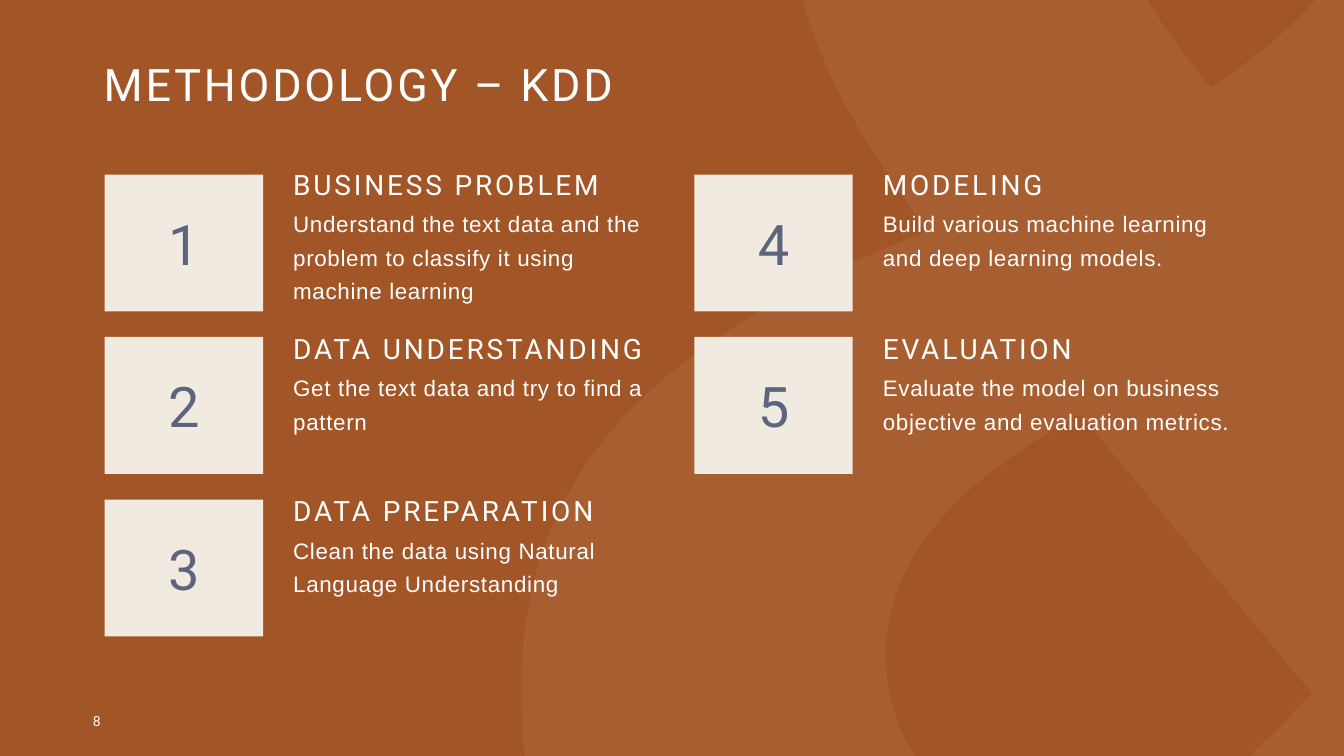
from dataclasses import dataclass

from lxml import etree
from pptx import Presentation
from pptx.dml.color import RGBColor
from pptx.enum.shapes import MSO_SHAPE
from pptx.enum.text import MSO_ANCHOR, MSO_AUTO_SIZE, PP_ALIGN
from pptx.oxml.ns import qn
from pptx.slide import Slide
from pptx.text.text import TextFrame
from pptx.util import Cm, Pt

RECTANGLE = MSO_SHAPE.RECTANGLE
TOP, MIDDLE = MSO_ANCHOR.TOP, MSO_ANCHOR.MIDDLE
LEFT, CENTER = PP_ALIGN.LEFT, PP_ALIGN.CENTER
NO_AUTOFIT = MSO_AUTO_SIZE.NONE
TITLE_ONLY = 5


@dataclass(frozen=True)
class Theme:
    background: str = "A25526"
    swirl: str = "D6BFA5"
    swirl_opacity: int = 10
    tile: str = "F1EAE1"
    number: str = "5D657E"
    text: str = "FFFFFF"
    display_font: str = "Roboto"
    body_font: str = "Arial"
    title_size: int = 32
    number_size: int = 40
    heading_size: int = 20
    body_size: int = 16
    page_size: int = 10


@dataclass(frozen=True)
class Step:
    number: int
    heading: str
    detail: str


@dataclass(frozen=True)
class Row:
    tile_top: float
    text_top: float


THEME = Theme()
SLIDE_W, SLIDE_H = 33.87, 19.05
COLUMN_LEFT, COLUMN_PITCH = 2.64, 14.86
TILE_W, TILE_H = 3.99, 3.45
TEXT_OFFSET, TEXT_W = 4.5, 9.35
HEADING_H, DETAIL_OFFSET, DETAIL_H = 1.02, 0.75, 2.8

ROWS = [Row(4.4, 4.26), Row(8.49, 8.39), Row(12.59, 12.48)]
STEPS = [
    Step(1, "BUSINESS PROBLEM",
         "Understand the text data and the problem to classify it using machine learning"),
    Step(2, "DATA UNDERSTANDING", "Get the text data and try to find a pattern"),
    Step(3, "DATA PREPARATION", "Clean the data using Natural Language Understanding"),
    Step(4, "MODELING", "Build various machine learning and deep learning models."),
    Step(5, "EVALUATION",
         "Evaluate the model on business objective and evaluation metrics."),
]

Point = tuple[float, float]
SWIRL_START: Point = (23.39, 5.82)
SWIRL: list[list[Point]] = [
    [(19.81, 7.21), (17.22, 8.84), (15.57, 10.67)],
    [(13.94, 12.5), (13.13, 14.76), (13.13, 17.42)],
    [(13.13, 17.98), (13.18, 18.54), (13.23, SLIDE_H)],
    [(23.06, SLIDE_H)],
    [(22.58, 18.31), (22.33, 17.45), (22.33, 16.46)],
    [(22.33, 15.34), (22.73, 14.27), (23.55, 13.28)],
    [(24.33, 12.29), (25.55, 11.35), (27.23, 10.44)],
    [(33.07, 17.48)],
    [(32.51, 18.08), (31.98, 18.62), (31.5, SLIDE_H)],
    [(SLIDE_W, SLIDE_H)],
    [(SLIDE_W, 0)],
    [(33.15, 0)],
    [(32.51, 0.74), (31.62, 1.47), (30.51, 2.21)],
    [(29.85, 1.4), (29.31, 0.66), (28.91, 0)],
    [(20.22, 0)],
    [(20.35, 0.38), (20.47, 0.79), (20.62, 1.17)],
    [(21.18, 2.59), (22.12, 4.14), SWIRL_START],
]


def rgb(color: str) -> RGBColor:
    return RGBColor.from_string(color)


def write(tf: TextFrame, text: str, *, size: int, font: str = THEME.display_font,
          color: str = THEME.text, spacing: float = 2, line: float = 1.0,
          align: PP_ALIGN = LEFT, anchor: MSO_ANCHOR = TOP) -> None:
    tf.word_wrap = True
    tf.auto_size = NO_AUTOFIT
    tf.vertical_anchor = anchor
    p = tf.paragraphs[0]
    p.alignment = align
    p.line_spacing = line
    r = p.add_run()
    r.text = text
    r.font.name = font
    r.font.size = Pt(size)
    r.font.color.rgb = rgb(color)
    r.font._element.set("spc", str(int(spacing * 100)))


def add_text_box(s: Slide, left: float, top: float, width: float, height: float) -> TextFrame:
    return s.shapes.add_textbox(Cm(left), Cm(top), Cm(width), Cm(height)).text_frame


def emu(point: Point) -> tuple[int, int]:
    x, y = point
    return Cm(x), Cm(y)


def add_swirl(s: Slide) -> None:
    builder = s.shapes.build_freeform(*emu(SWIRL_START))
    builder.add_line_segments([emu(segment[-1]) for segment in SWIRL], close=True)
    sp = builder.convert_to_shape()
    sp.shadow.inherit = False
    sp.line.fill.background()
    sp.fill.solid()
    sp.fill.fore_color.rgb = rgb(THEME.swirl)
    spPr = sp._element.spPr
    color = spPr.find(f"{qn('a:solidFill')}/{qn('a:srgbClr')}")
    etree.SubElement(color, qn("a:alpha")).set("val", str(THEME.swirl_opacity * 1000))

    for line, segment in zip(list(spPr.iter(qn("a:lnTo"))), SWIRL):
        if len(segment) == 1:
            continue
        curve = etree.Element(qn("a:cubicBezTo"))
        for point in segment:
            x, y = emu(point)
            pt = etree.SubElement(curve, qn("a:pt"))
            pt.set("x", str(x - sp.left))
            pt.set("y", str(y - sp.top))
        line.getparent().replace(line, curve)


def add_step(s: Slide, step: Step, left: float, row: Row) -> None:
    tile = s.shapes.add_shape(RECTANGLE, Cm(left), Cm(row.tile_top), Cm(TILE_W), Cm(TILE_H))
    tile.shadow.inherit = False
    tile.line.fill.background()
    tile.fill.solid()
    tile.fill.fore_color.rgb = rgb(THEME.tile)
    write(tile.text_frame, str(step.number), size=THEME.number_size,
          color=THEME.number, align=CENTER, anchor=MIDDLE)

    text_left = left + TEXT_OFFSET
    heading = add_text_box(s, text_left, row.text_top, TEXT_W, HEADING_H)
    write(heading, step.heading, size=THEME.heading_size, line=0.8)
    detail = add_text_box(s, text_left, row.text_top + DETAIL_OFFSET, TEXT_W, DETAIL_H)
    write(detail, step.detail, size=THEME.body_size, font=THEME.body_font,
          spacing=0.5, line=1.25)


def main() -> None:
    prs = Presentation()
    prs.slide_width, prs.slide_height = Cm(SLIDE_W), Cm(SLIDE_H)
    s = prs.slides.add_slide(prs.slide_layouts[TITLE_ONLY])
    s.background.fill.solid()
    s.background.fill.fore_color.rgb = rgb(THEME.background)
    add_swirl(s)

    title = s.shapes.title
    title.left, title.top, title.width, title.height = Cm(2.36), Cm(1.45), Cm(28.63), Cm(1.5)
    write(title.text_frame, "METHODOLOGY – KDD", size=THEME.title_size, line=0.9)

    for i, step in enumerate(STEPS):
        column, row = divmod(i, len(ROWS))
        add_step(s, step, COLUMN_LEFT + column * COLUMN_PITCH, ROWS[row])

    page = add_text_box(s, 2.09, 17.65, 7.62, 1.02)
    write(page, "8", size=THEME.page_size, anchor=MIDDLE)
    prs.save("out.pptx")


if __name__ == "__main__":
    main()
